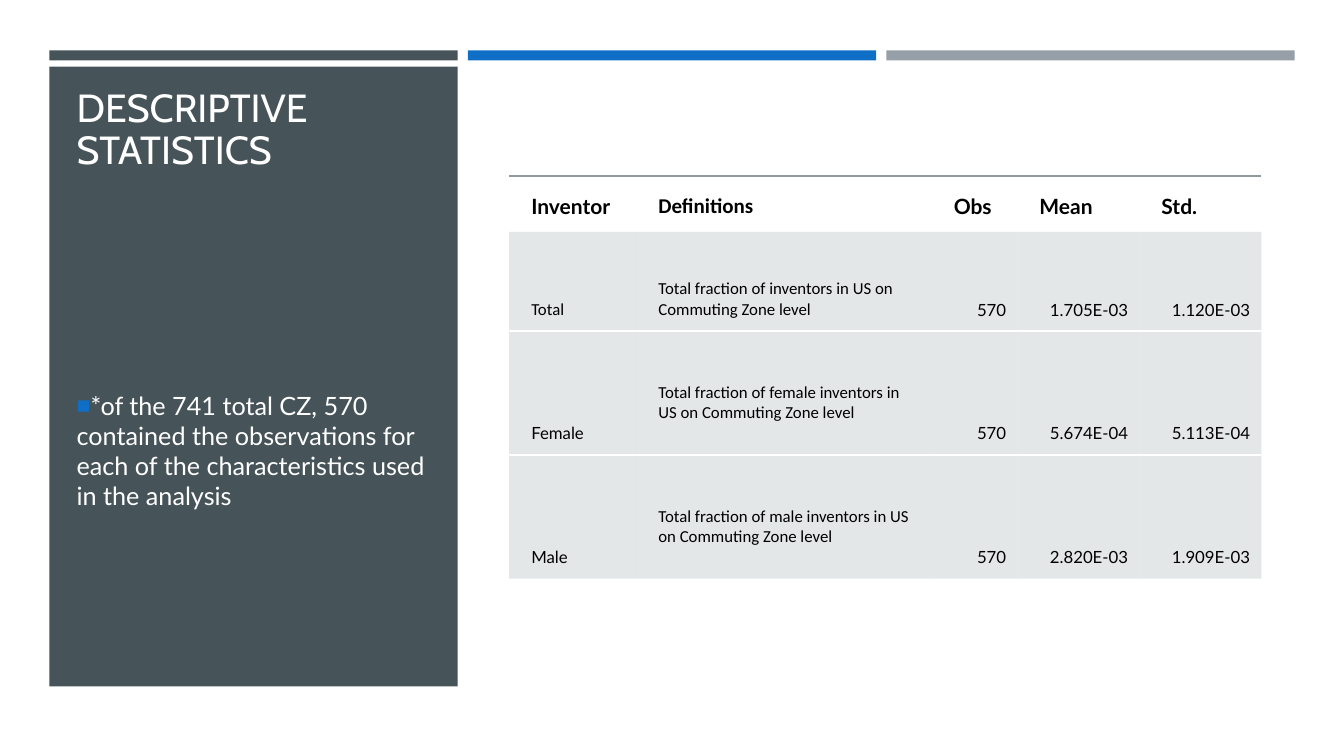
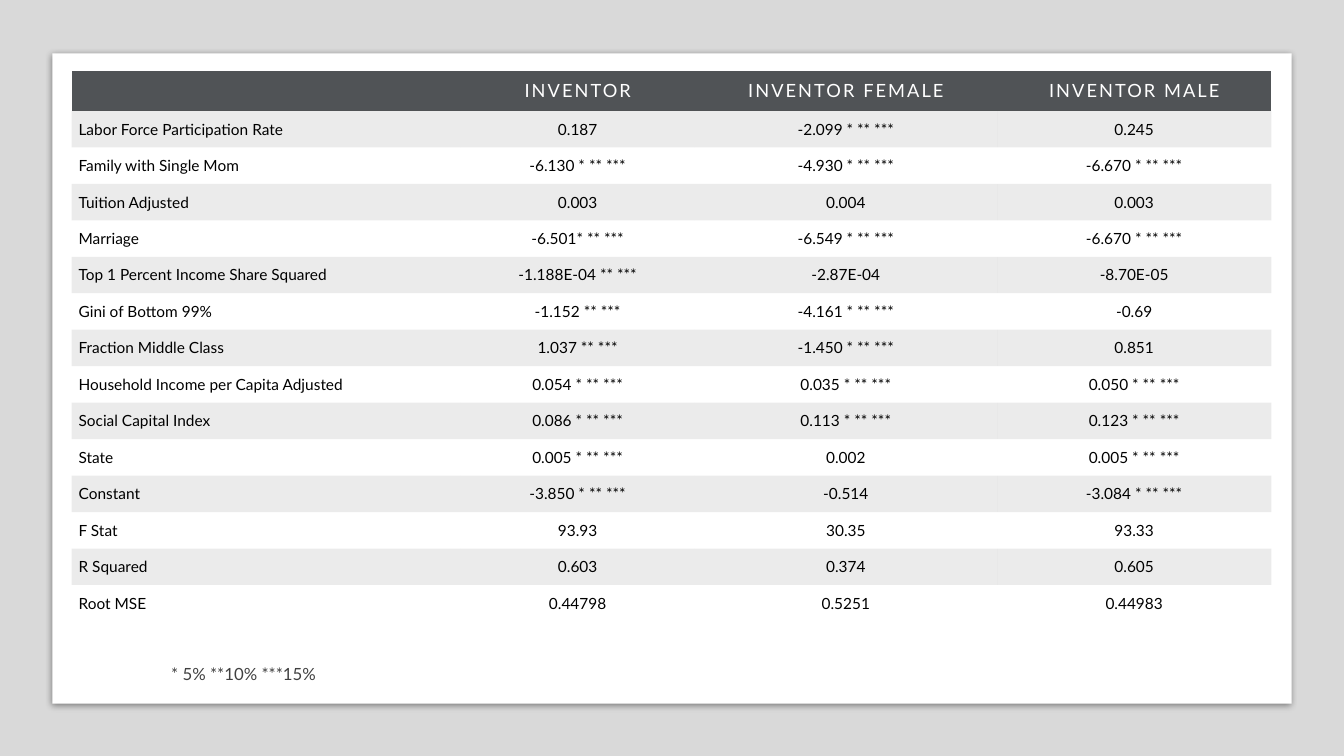
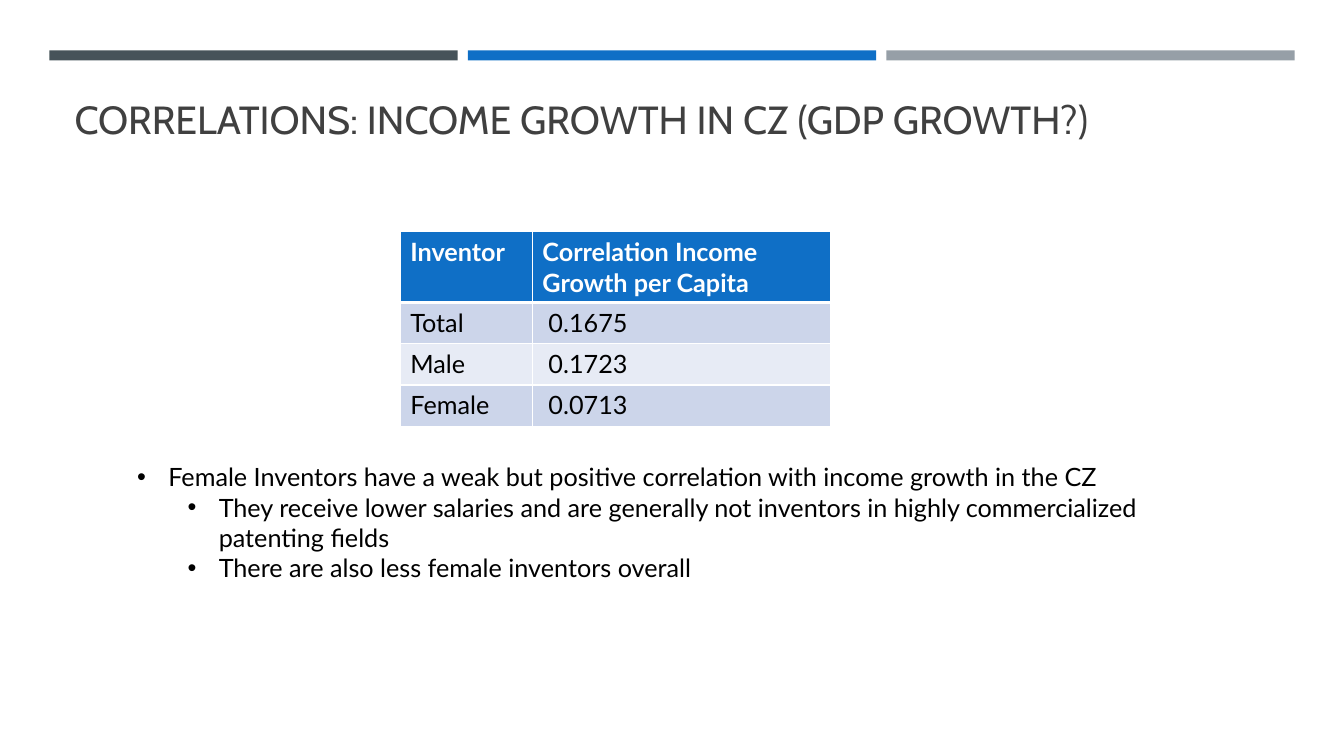
from dataclasses import dataclass, field, replace
from typing import Any, Callable, NamedTuple

import lxml.etree
import pptx
import pptx.dml.color
import pptx.enum.shapes
import pptx.enum.text
import pptx.oxml.ns
import pptx.util

Inches = pptx.util.Inches
Pt = pptx.util.Pt
Align = pptx.enum.text.PP_ALIGN
Anchor = pptx.enum.text.MSO_ANCHOR

COLORS = {
    "white": "FFFFFF",
    "black": "000000",
    "slate": "465359",
    "blue": "0F6FC6",
    "silver": "969FA7",
    "ink": "404040",
    "backdrop": "D9D9D9",
    "mist": "B4BCBE",
    "rule": "8F9A9D",
    "charcoal": "505356",
    "band dark": "CCD5EA",
    "band light": "E7EBF5",
}
HEADING_FONT = "Cabin"
TEXT_FONT = "Lato"
NO_TABLE_STYLE = "{2D5ABB26-0587-4C30-8999-92F81FD0307C}"
TITLE_AND_CONTENT, BLANK = 1, 6


class Box(NamedTuple):
    left: float
    top: float
    width: float
    height: float


class Border(NamedTuple):
    color: str
    width: float
    opacity: int = 100


@dataclass(frozen=True)
class CellStyle:
    size: float
    font: str = TEXT_FONT
    color: str = "black"
    bold: bool = False
    tracking: float = 0
    align: Any = Align.LEFT
    anchor: Any = Anchor.TOP
    insets: tuple[float, float, float, float] = (0.1, 0.05, 0.1, 0.05)
    fill: str | None = None
    opacity: int = 100
    borders: dict[str, Border] = field(default_factory=dict)


class Bullet(NamedTuple):
    text: str
    mark: str = "•"
    level: int = 0
    margin: float = 0.31
    hanging: float = 0.31
    mark_color: str = "black"
    mark_percent: int = 100


def apply(target: Any, values: dict[str, Any]) -> None:
    for name, value in values.items():
        setattr(target, name, value)


def rgb(color: str) -> pptx.dml.color.RGBColor:
    return pptx.dml.color.RGBColor.from_string(COLORS[color])


def add_xml(parent: Any, tag: str, **attributes: Any) -> Any:
    values = {name: str(value) for name, value in attributes.items()}
    return lxml.etree.SubElement(parent, pptx.oxml.ns.qn(tag), values)


def add_color(parent: Any, color: str, opacity: int = 100) -> None:
    node = add_xml(parent, "a:srgbClr", val=COLORS[color])
    if opacity < 100:
        add_xml(node, "a:alpha", val=opacity * 1000)


def place(shape: Any, box: Box) -> None:
    apply(shape, {side: Inches(value) for side, value in box._asdict().items()})


def set_font(run: Any, size: float, color: str, font: str = TEXT_FONT, bold: bool = False) -> None:
    apply(run.font, {"size": Pt(size), "name": font, "bold": bold})
    run.font.color.rgb = rgb(color)


def add_slide(deck: Any, layout: int, background: str = "white") -> Any:
    slide = deck.slides.add_slide(deck.slide_layouts[layout])
    slide.background.fill.solid()
    slide.background.fill.fore_color.rgb = rgb(background)
    return slide


def add_block(slide: Any, box: Box, color: str) -> Any:
    """Draw a plain rectangle behind everything else on the slide."""
    block = slide.shapes.add_shape(
        pptx.enum.shapes.MSO_SHAPE.RECTANGLE, *(Inches(value) for value in box)
    )
    block.shadow.inherit = False
    block.fill.solid()
    block.fill.fore_color.rgb = rgb(color)
    block.line.fill.background()
    slide.shapes._spTree.insert(2, block._element)
    return block


def add_top_bands(slide: Any) -> None:
    width, gap = 4.05, 0.1
    for index, color in enumerate(("slate", "blue", "silver")):
        add_block(slide, Box(0.49 + index * (width + gap), 0.5, width, 0.1), color)


def fill_title(slide: Any, text: str, box: Box, color: str,
               line_spacing: float = 1.0, bottom_inset: float = 0.05) -> None:
    title = slide.shapes.title
    place(title, box)
    apply(title.text_frame, {
        "text": text,
        "auto_size": pptx.enum.text.MSO_AUTO_SIZE.NONE,
        "vertical_anchor": Anchor.BOTTOM,
        "margin_bottom": Inches(bottom_inset),
    })
    paragraph = title.text_frame.paragraphs[0]
    apply(paragraph, {"alignment": Align.LEFT, "line_spacing": line_spacing})
    set_font(paragraph.runs[0], 28, color, HEADING_FONT)


def fill_body(slide: Any, bullets: list[Bullet], box: Box, color: str, anchor: Any) -> None:
    body = slide.placeholders[1]
    place(body, box)
    frame = body.text_frame
    apply(frame, {"auto_size": pptx.enum.text.MSO_AUTO_SIZE.NONE, "vertical_anchor": anchor})
    for index, bullet in enumerate(bullets):
        paragraph = frame.add_paragraph() if index else frame.paragraphs[0]
        properties = paragraph._p.get_or_add_pPr()
        properties.set("marL", str(Inches(bullet.margin)))
        properties.set("indent", str(-Inches(bullet.hanging)))
        add_color(add_xml(properties, "a:buClr"), bullet.mark_color)
        add_xml(properties, "a:buSzPct", val=bullet.mark_percent * 1000)
        add_xml(properties, "a:buChar", char=bullet.mark)
        apply(paragraph, {"level": bullet.level, "space_before": Pt(0), "space_after": Pt(0)})
        run = paragraph.add_run()
        run.text = bullet.text
        set_font(run, 18, color)


def write_cell(cell: Any, text: str, style: CellStyle) -> None:
    sides = ("margin_left", "margin_top", "margin_right", "margin_bottom")
    apply(cell, {side: Inches(inset) for side, inset in zip(sides, style.insets)})
    cell.vertical_anchor = style.anchor
    paragraph = cell.text_frame.paragraphs[0]
    paragraph.alignment = style.align
    if text:
        run = paragraph.add_run()
        run.text = text
        set_font(run, style.size, style.color, style.font, style.bold)
        if style.tracking:
            run._r.get_or_add_rPr().set("spc", str(round(style.tracking * 100)))
    else:
        paragraph._p.get_or_add_endParaRPr().set("sz", str(round(style.size * 100)))

    properties = cell._tc.get_or_add_tcPr()
    for side in "LRTB":
        border = style.borders.get(side)
        if border:
            line = add_xml(properties, f"a:ln{side}", w=Pt(border.width))
            add_color(add_xml(line, "a:solidFill"), border.color, border.opacity)
    if style.fill:
        add_color(add_xml(properties, "a:solidFill"), style.fill, style.opacity)
    else:
        cell.fill.background()


def add_table(slide: Any, left: float, top: float, widths: list[float], heights: list[float],
              rows: list[tuple[str, ...]], style_of: Callable[[int, int], CellStyle]) -> None:
    box = Box(left, top, sum(widths), sum(heights))
    table = slide.shapes.add_table(
        len(rows), len(widths), *(Inches(value) for value in box)
    ).table
    apply(table, {"first_row": False, "horz_banding": False})
    table._tbl.tblPr.find(pptx.oxml.ns.qn("a:tableStyleId")).text = NO_TABLE_STYLE
    for column, width in zip(table.columns, widths):
        column.width = Inches(width)
    for row, height in zip(table.rows, heights):
        row.height = Inches(height)
    for row, texts in enumerate(rows):
        for column, text in enumerate(texts):
            write_cell(table.cell(row, column), text, style_of(row, column))


STATISTICS = [
    ("Inventor", "Definitions", "Obs", "Mean", "Std."),
    ("Total", "Total fraction of inventors in US on Commuting Zone level",
     "570", "1.705E-03", "1.120E-03"),
    ("Female", "Total fraction of female inventors in US on Commuting Zone level",
     "570", "5.674E-04", "5.113E-04"),
    ("Male", "Total fraction of male inventors in US on Commuting Zone level",
     "570", "2.820E-03", "1.909E-03"),
]

REGRESSIONS = [
    ("", "INVENTOR", "INVENTOR FEMALE", "INVENTOR MALE"),
    ("Labor Force Participation Rate", "0.187", "-2.099 * ** ***", "0.245"),
    ("Family with Single Mom", "-6.130 * ** ***", "-4.930 * ** ***", "-6.670 * ** ***"),
    ("Tuition Adjusted", "0.003", "0.004", "0.003"),
    ("Marriage", "-6.501* ** ***", "-6.549 * ** ***", "-6.670 * ** ***"),
    ("Top 1 Percent Income Share Squared", "-1.188E-04 ** ***", "-2.87E-04", "-8.70E-05"),
    ("Gini of Bottom 99%", "-1.152 ** ***", "-4.161 * ** ***", "-0.69"),
    ("Fraction Middle Class", "1.037 ** ***", "-1.450 * ** ***", "0.851"),
    ("Household Income per Capita Adjusted", "0.054 * ** ***", "0.035 * ** ***",
     "0.050 * ** ***"),
    ("Social Capital Index", "0.086 * ** ***", "0.113 * ** ***", "0.123 * ** ***"),
    ("State", "0.005 * ** ***", "0.002", "0.005 * ** ***"),
    ("Constant", "-3.850 * ** ***", "-0.514", "-3.084 * ** ***"),
    ("F Stat", "93.93", "30.35", "93.33"),
    ("R Squared", "0.603", "0.374", "0.605"),
    ("Root MSE", "0.44798", "0.5251", "0.44983"),
]

CORRELATIONS = [
    ("Inventor", "Correlation Income Growth per Capita"),
    ("Total", "0.1675"),
    ("Male", "0.1723"),
    ("Female", "0.0713"),
]


def statistics_style(row: int, column: int) -> CellStyle:
    font = "Calibri" if column == 1 or (row, column) == (1, 0) else TEXT_FONT
    if row == 0:
        return CellStyle(15, font, bold=True, anchor=Anchor.BOTTOM,
                         insets=(0.22, 0.13, 0.13, 0.13),
                         borders={"T": Border("rule", 1.5, 60)})
    separator = Border("white", 1.5)
    borders = {}
    if row > 1:
        borders["T"] = separator
    if row < len(STATISTICS) - 1:
        borders["B"] = separator
    raised = column == 1 and row > 1
    return CellStyle(12, font, align=Align.RIGHT if column > 1 else Align.LEFT,
                     anchor=Anchor.BOTTOM, insets=(0.22, 0.11, 0.11, 0.31 if raised else 0.11),
                     fill="mist", opacity=35, borders=borders)


def regression_style(row: int, column: int) -> CellStyle:
    style = CellStyle(11, align=Align.CENTER if column else Align.LEFT,
                      anchor=Anchor.MIDDLE, insets=(0.07,) * 4)
    if row == 0:
        return replace(style, size=13, color="white", tracking=1.5, fill="charcoal")
    return replace(style, fill="black", opacity=8) if row % 2 else style


def correlation_style(row: int, column: int) -> CellStyle:
    borders = {side: Border("white", 1) for side in "LRTB"}
    heavy = Border("white", 3)
    if row == 0:
        return CellStyle(18, color="white", bold=True, fill="blue",
                         borders={**borders, "B": heavy})
    if row == 1:
        borders["T"] = heavy
    return CellStyle(18, insets=(0.16 if column else 0.1, 0.05, 0.1, 0.05),
                     fill="band dark" if row % 2 else "band light", borders=borders)


def build_statistics(deck: Any) -> None:
    slide = add_slide(deck, TITLE_AND_CONTENT)
    add_top_bands(slide)
    add_block(slide, Box(0.49, 0.66, 4.05, 6.15), "slate")
    fill_title(slide, "DESCRIPTIVE STATISTICS", Box(0.66, 0.77, 3.73, 1.42), "white",
               line_spacing=0.9, bottom_inset=0.47)
    note = Bullet(
        "*of the 741 total CZ, 570 contained the observations for each of the "
        "characteristics used in the analysis",
        mark="■", margin=0, hanging=0, mark_color="blue", mark_percent=92,
    )
    fill_body(slide, [note], Box(0.66, 2.38, 3.73, 4.18), "white", Anchor.MIDDLE)
    add_table(slide, 5.05, 1.75, [1.26, 2.93, 0.85, 1.21, 1.21], [0.55, 0.98, 1.23, 1.23],
              STATISTICS, statistics_style)


def build_regressions(deck: Any) -> None:
    slide = add_slide(deck, BLANK, "backdrop")
    card = add_block(slide, Box(0.52, 0.53, 12.29, 6.45), "white")
    effects = card._element.spPr.find(pptx.oxml.ns.qn("a:effectLst"))
    shadow = add_xml(effects, "a:outerShdw", blurRad=Pt(5), dist=Pt(1.4), dir=90 * 60000)
    add_color(shadow, "black", 43)

    body_rows = len(REGRESSIONS) - 1
    add_table(slide, 0.71, 0.7, [3.86, 2.32, 3, 2.72], [0.4] + [5.07 / body_rows] * body_rows,
              REGRESSIONS, regression_style)

    significance = slide.shapes.add_textbox(
        *(Inches(value) for value in Box(1.6, 6.54, 6.87, 0.3))
    )
    significance.text_frame.word_wrap = True
    run = significance.text_frame.paragraphs[0].add_run()
    run.text = "* 5% **10% ***15%"
    set_font(run, 12, "ink")


def build_correlations(deck: Any) -> None:
    slide = add_slide(deck, TITLE_AND_CONTENT)
    add_top_bands(slide)
    fill_title(slide, "CORRELATIONS: INCOME GROWTH IN CZ (GDP GROWTH?)",
               Box(0.64, 0.77, 12.06, 0.69), "ink")
    add_table(slide, 3.97, 2.3, [1.31, 2.96], [0.69] + [0.41] * 3,
              CORRELATIONS, correlation_style)
    findings = [
        Bullet("Female Inventors have a weak but positive correlation with income growth "
               "in the CZ"),
        Bullet("They receive lower salaries and are generally not inventors in highly "
               "commercialized patenting fields", level=1, margin=0.81),
        Bullet("There are also less female inventors overall", level=1, margin=0.81),
    ]
    fill_body(slide, findings, Box(1.26, 4.53, 10.82, 1.31), "black", Anchor.TOP)


def main() -> None:
    deck = pptx.Presentation()
    apply(deck, {"slide_width": Inches(13.33), "slide_height": Inches(7.5)})
    for build in (build_statistics, build_regressions, build_correlations):
        build(deck)
    deck.save("out.pptx")


if __name__ == "__main__":
    main()
